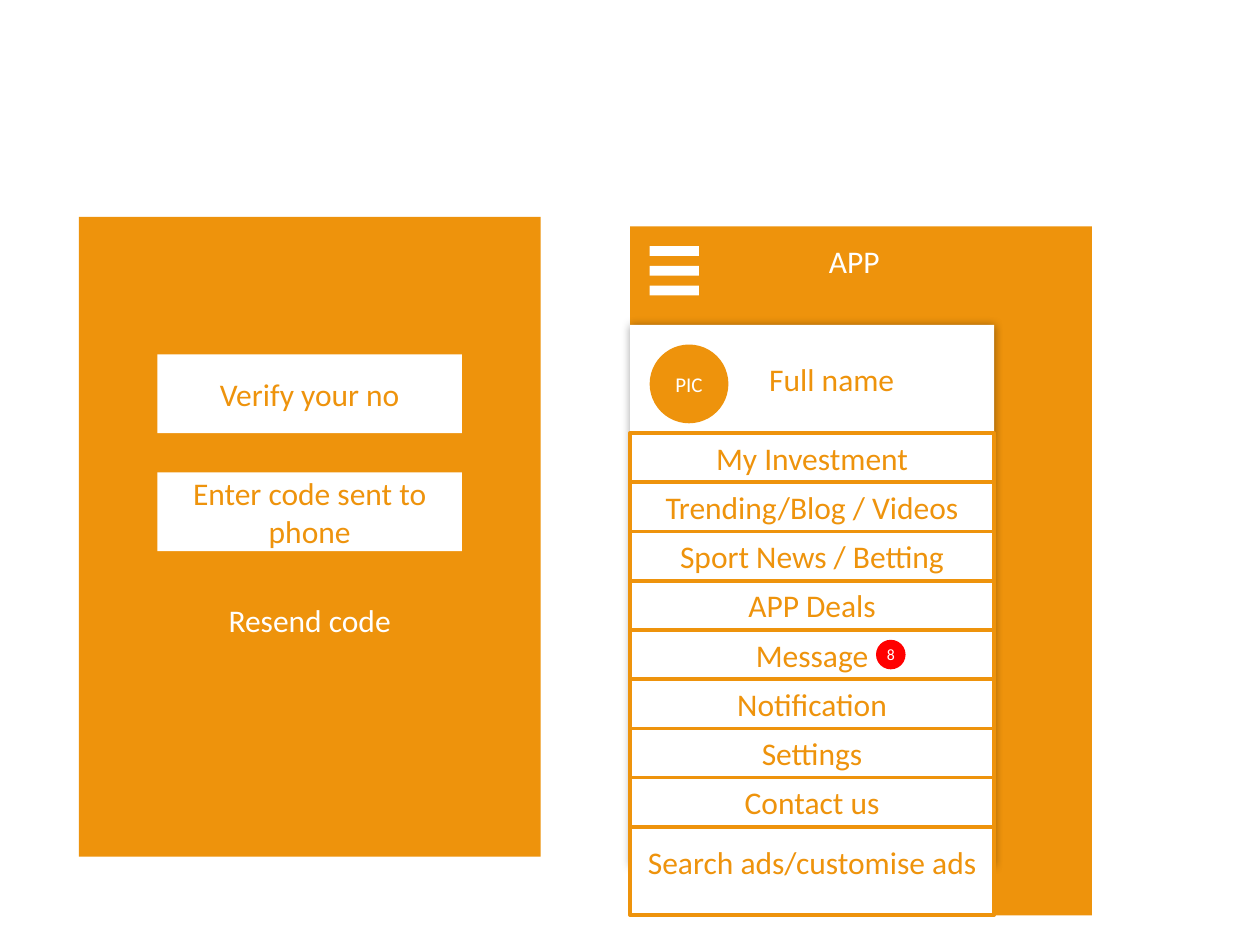
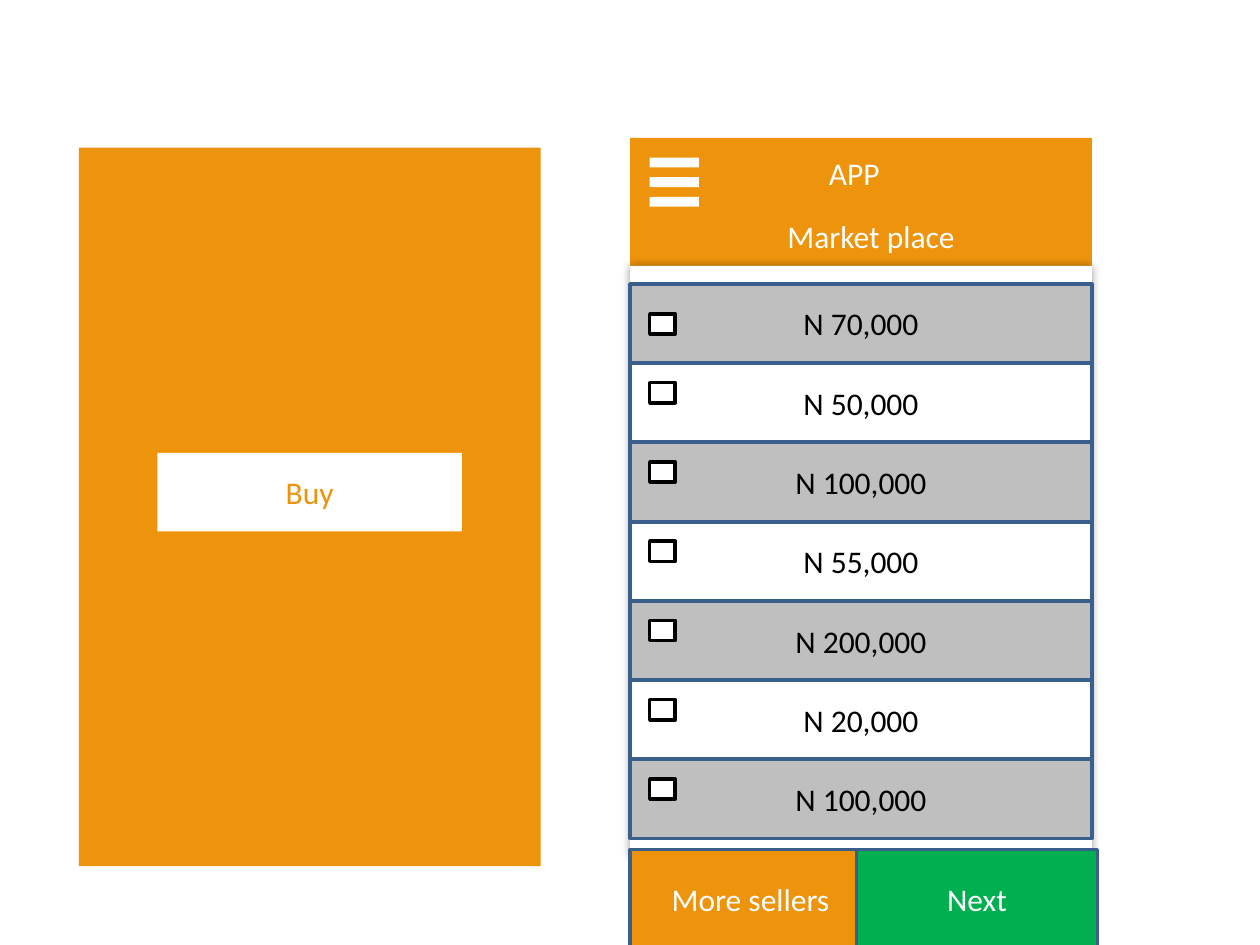
import dataclasses
import typing

import lxml.etree
import pptx
import pptx.dml.color
import pptx.enum.shapes
import pptx.enum.text
import pptx.oxml.ns
import pptx.util

Pt = pptx.util.Pt
Kind = pptx.enum.shapes.MSO_SHAPE


@dataclasses.dataclass(frozen=True)
class Theme:
    font: str = "Calibri"
    orange: str = "EE930C"
    white: str = "FFFFFF"
    black: str = "000000"
    grey: str = "BFBFBF"
    blue: str = "3A5F8C"
    green: str = "00B050"
    red: str = "FF0000"
    body: float = 18
    label: float = 12
    badge: float = 9
    border: float = 2
    hairline: float = 0.75


THEME = Theme()


@dataclasses.dataclass(frozen=True)
class Box:
    left: float
    top: float
    width: float
    height: float
    fill: typing.Optional[str] = THEME.white
    text: str = ""
    ink: str = THEME.orange
    line: typing.Optional[str] = None
    size: float = THEME.body
    kind: int = Kind.RECTANGLE
    glow: bool = False
    inset_top: float = 3.6


SCREEN_LEFT = 360
SCREEN_WIDTH = 264
WELCOME_LEFT = 45
FIELD_LEFT = 90
FIELD_WIDTH = 174
FIELD_HEIGHT = 45
MARGIN = 11.25
DRAWER_WIDTH = 208.1
MENU_TOP = 247.5
MENU_HEIGHT = 28.13
PRICE_TOP = 162.3
PRICE_STEP = 45.3
BUTTON_TOP = 485.4
APP_NAME = "APP"

MENU = [
    "My Investment",
    "Trending/Blog / Videos",
    "Sport News / Betting",
    f"{APP_NAME} Deals",
    "Message",
    "Notification",
    "Settings",
    "Contact us",
]
PRICES = ["70,000", "50,000", "100,000", "55,000", "200,000", "20,000", "100,000"]


def rgb(color: str) -> pptx.dml.color.RGBColor:
    return pptx.dml.color.RGBColor.from_string(color)


def add_glow(shape) -> None:
    effects = shape._element.spPr.find(pptx.oxml.ns.qn("a:effectLst"))
    shadow = lxml.etree.SubElement(
        effects, pptx.oxml.ns.qn("a:outerShdw"),
        blurRad=str(Pt(5)), dist="0", dir="0", rotWithShape="0")
    color = lxml.etree.SubElement(shadow, pptx.oxml.ns.qn("a:srgbClr"), val=THEME.black)
    lxml.etree.SubElement(color, pptx.oxml.ns.qn("a:alpha"), val="40000")


def style_text(paragraph, text: str, size: float, color: str) -> None:
    paragraph.text = text
    paragraph.font.name = THEME.font
    paragraph.font.size = Pt(size)
    paragraph.font.color.rgb = rgb(color)


def draw(page, box: Box) -> None:
    shape = page.shapes.add_shape(
        box.kind, Pt(box.left), Pt(box.top), Pt(box.width), Pt(box.height))
    shape.shadow.inherit = False
    if box.fill:
        shape.fill.solid()
        shape.fill.fore_color.rgb = rgb(box.fill)
    else:
        shape.fill.background()
    if box.line:
        shape.line.color.rgb = rgb(box.line)
        shape.line.width = Pt(THEME.border)
    else:
        shape.line.fill.background()
    if box.glow:
        add_glow(shape)
    if box.text:
        frame = shape.text_frame
        frame.word_wrap = box.kind == Kind.RECTANGLE
        frame.vertical_anchor = pptx.enum.text.MSO_ANCHOR.MIDDLE
        frame.margin_top = Pt(box.inset_top)
        paragraph = frame.paragraphs[0]
        paragraph.alignment = pptx.enum.text.PP_ALIGN.CENTER
        style_text(paragraph, box.text, box.size, box.ink)


def draw_field(page, top: float, text: str, fill: str = THEME.white,
               ink: str = THEME.orange) -> None:
    draw(page, Box(FIELD_LEFT, top, FIELD_WIDTH, FIELD_HEIGHT, fill, text, ink))


def draw_screen(page, top: float, height: float) -> None:
    draw(page, Box(SCREEN_LEFT, top, SCREEN_WIDTH, height, THEME.orange))
    title = page.shapes.add_textbox(Pt(466.6), Pt(top + 5.6), Pt(50.4), Pt(29))
    title.text_frame.word_wrap = False
    style_text(title.text_frame.paragraphs[0], APP_NAME, THEME.body, THEME.white)
    for bar in range(3):
        draw(page, Box(SCREEN_LEFT + MARGIN, top + MARGIN * (bar + 1), 28.1, 5.63))


def draw_menu_page(page) -> None:
    draw(page, Box(WELCOME_LEFT, 124, SCREEN_WIDTH, 365.6, THEME.orange))
    draw_field(page, 202.5, "Verify your no")
    draw_field(page, 270, "Enter code sent to phone")
    draw_field(page, 332, "Resend code", THEME.orange, THEME.white)

    draw_screen(page, 129.4, 393.8)
    draw(page, Box(SCREEN_LEFT, 185.6, DRAWER_WIDTH, 309.4, glow=True))
    draw(page, Box(SCREEN_LEFT + MARGIN, 196.9, 45, 45, THEME.orange, "PIC",
                   THEME.white, size=THEME.label, kind=Kind.OVAL))
    draw(page, Box(422, 208.1, 106.6, 16.9, None, "Full name"))

    divider = page.shapes.add_connector(
        pptx.enum.shapes.MSO_CONNECTOR.STRAIGHT, Pt(SCREEN_LEFT), Pt(MENU_TOP),
        Pt(SCREEN_LEFT + DRAWER_WIDTH), Pt(MENU_TOP))
    divider.line.color.rgb = rgb(THEME.orange)
    divider.line.width = Pt(THEME.hairline)
    lxml.etree.SubElement(divider._element.spPr, pptx.oxml.ns.qn("a:effectLst"))

    draw(page, Box(SCREEN_LEFT, 416.25, DRAWER_WIDTH, 106.6,
                   text="Search ads/customise ads", line=THEME.orange, inset_top=50))
    for row, entry in enumerate(MENU):
        draw(page, Box(SCREEN_LEFT, MENU_TOP + row * MENU_HEIGHT, DRAWER_WIDTH,
                       MENU_HEIGHT, text=entry, line=THEME.orange))
    draw(page, Box(500.6, 365.6, 16.9, 16.9, THEME.red, "8", THEME.white,
                   size=THEME.badge, kind=Kind.OVAL))


def draw_market_page(page) -> None:
    draw(page, Box(WELCOME_LEFT, 84.4, SCREEN_WIDTH, 410.6, THEME.orange))
    draw_field(page, 258.75, "Buy")

    draw_screen(page, 78.75, 446.4)
    draw(page, Box(SCREEN_LEFT, 151.9, SCREEN_WIDTH, 337.5, glow=True))
    draw(page, Box(427.5, 123.75, 140.6, 22.5, THEME.orange, "Market place", THEME.white))

    for row, price in enumerate(PRICES):
        top = PRICE_TOP + row * PRICE_STEP
        fill = THEME.white if row % 2 else THEME.grey
        draw(page, Box(SCREEN_LEFT, top, SCREEN_WIDTH, 45, fill, f"N {price}",
                       THEME.black, THEME.blue))
        check_offset = 11 if row else 17
        draw(page, Box(SCREEN_LEFT + MARGIN, top + check_offset, 14.6, 11.6,
                       line=THEME.black))

    for left, text, fill in ((SCREEN_LEFT, "More sellers", THEME.orange),
                             (489.4, "Next", THEME.green)):
        draw(page, Box(left, BUTTON_TOP, 137.8, 56.2, fill, text, THEME.white, THEME.blue))


def main() -> None:
    deck = pptx.Presentation()
    deck.slide_width = Pt(720)
    deck.slide_height = Pt(540)
    blank = deck.slide_layouts[6]
    for draw_page in (draw_menu_page, draw_market_page):
        draw_page(deck.slides.add_slide(blank))
    deck.save("out.pptx")


main()
